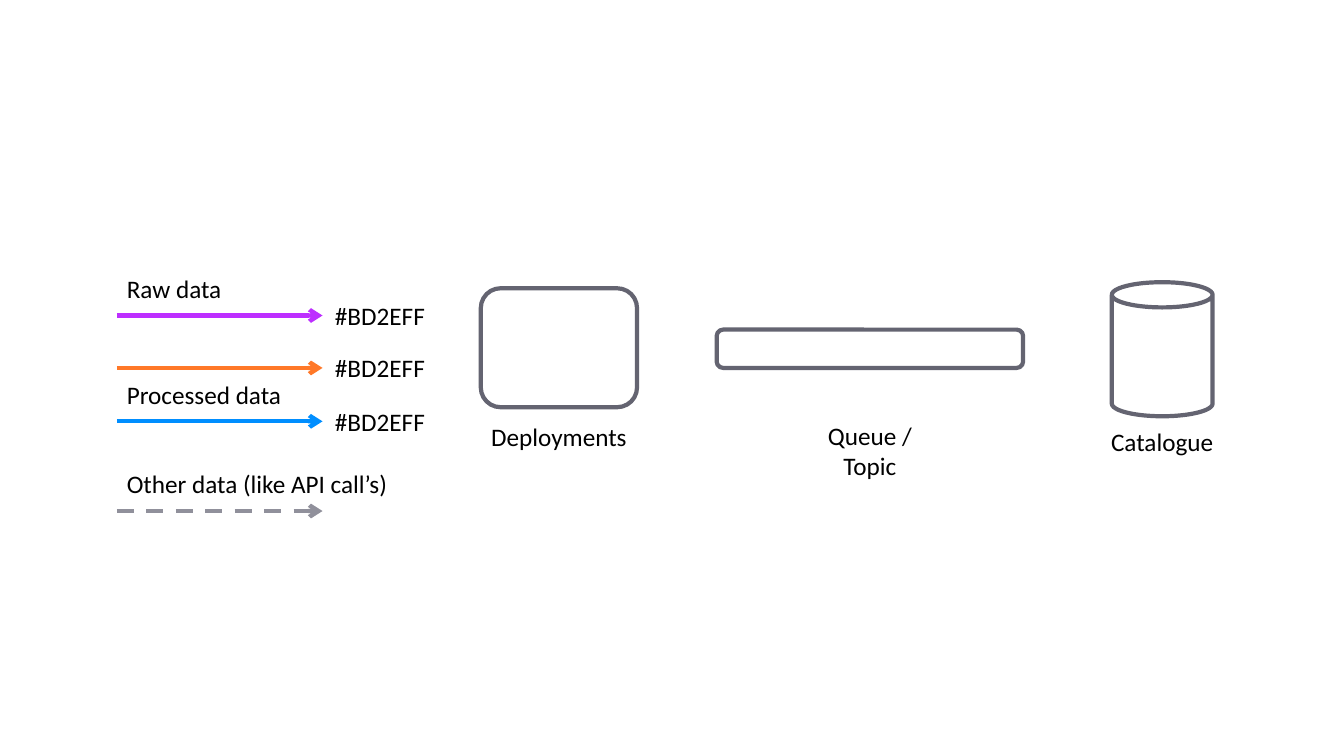
from pptx import Presentation
from pptx.dml.color import RGBColor as Rgb
from pptx.enum.dml import MSO_LINE as Dash
from pptx.enum.shapes import MSO_CONNECTOR as Link, MSO_SHAPE as Form
from pptx.enum.text import MSO_AUTO_SIZE as Fit, PP_ALIGN as Align
from pptx.oxml.ns import qn
from pptx.util import Inches, Pt
from lxml.etree import SubElement as Sub

COLS, ROWS = 160, 90
HUES = {"text": "000000", "frame": "646471", "raw": "BD2EFF",
        "mid": "FF7828", "done": "008EFF", "other": "90909B"}


class Board:
    """Style and current slide; lengths are columns and rows."""
    font, size, weight, high = "Calibri", Pt(18), Pt(3), 4.8

    def __init__(self, deck):
        self.slide = deck.slides.add_slide(deck.slide_layouts[6])
        self.col = deck.slide_width / COLS
        self.row = deck.slide_height / ROWS

    def grid(self, *vals):
        units = (self.col, self.row) * 2
        return [round(val * unit) for val, unit in zip(vals, units)]

    def pen(self, line, hue):
        line.color.rgb = Rgb.from_string(HUES[hue])
        line.width = self.weight

    def text(self, words, x, y, wide, align=Align.LEFT):
        box = self.slide.shapes.add_textbox(*self.grid(x, y, wide, self.high))
        frame = box.text_frame
        frame.text = words
        frame.word_wrap = False
        frame.auto_size = Fit.SHAPE_TO_FIT_TEXT
        para = frame.paragraphs[0]
        para.alignment = align
        font = para.runs[0].font
        font.name, font.size = self.font, self.size
        font.color.rgb = Rgb.from_string(HUES["text"])

    def shape(self, form, x, y, wide, high):
        item = self.slide.shapes.add_shape(form, *self.grid(x, y, wide, high))
        item.shadow.inherit = False
        item.fill.background()
        self.pen(item.line, "frame")

    def arrow(self, x, y, end, hue, dash=None):
        item = self.slide.shapes.add_connector(
            Link.STRAIGHT, *self.grid(x, y, end, y))
        self.pen(item.line, hue)
        if dash:
            item.line.dash_style = dash
        Sub(item.line._get_or_add_ln(), qn("a:tailEnd"), type="arrow")
        Sub(item._element.spPr, qn("a:effectLst"))


def main():
    deck = Presentation()
    deck.slide_width, deck.slide_height = Inches(13.333), Inches(7.5)
    board = Board(deck)

    # Data flows: row, hue, label, label width, code, dash
    left, end, code_x = 13.92, 38.4, 38.7
    code = "#BD2EFF"
    flows = [
        (37.56, "raw", "Raw data", 13.8, code, None),
        (43.8, "mid", "", 0, code, None),
        (50.16, "done", "Processed data", 21, code, None),
        (60.84, "other", "Other data (like API call’s)", 33.72, "", Dash.DASH),
    ]
    for y, hue, label, wide, tag, dash in flows:
        board.arrow(left, y, end, hue, dash)
        if label:
            board.text(label, left, y - 5.64, wide)
        if tag:
            board.text(tag, code_x, y - board.high / 2, 13.2)

    # Components: form, frame, label, label row and width
    parts = [
        (Form.ROUNDED_RECTANGLE, (57.24, 34.32, 18.6, 14.16),
         "Deployments", 49.56, 18.72),
        (Form.ROUNDED_RECTANGLE, (85.32, 39.24, 36.48, 4.56),
         "Queue / Topic", 49.44, 18),
        (Form.CAN, (132.36, 33.6, 12, 15.96), "Catalogue", 50.16, 14.76),
    ]
    for form, area, label, y, wide in parts:
        board.shape(form, *area)
        mid = area[0] + area[2] / 2
        board.text(label, mid - wide / 2, y, wide, Align.CENTER)

    deck.save("out.pptx")


if __name__ == "__main__":
    main()
